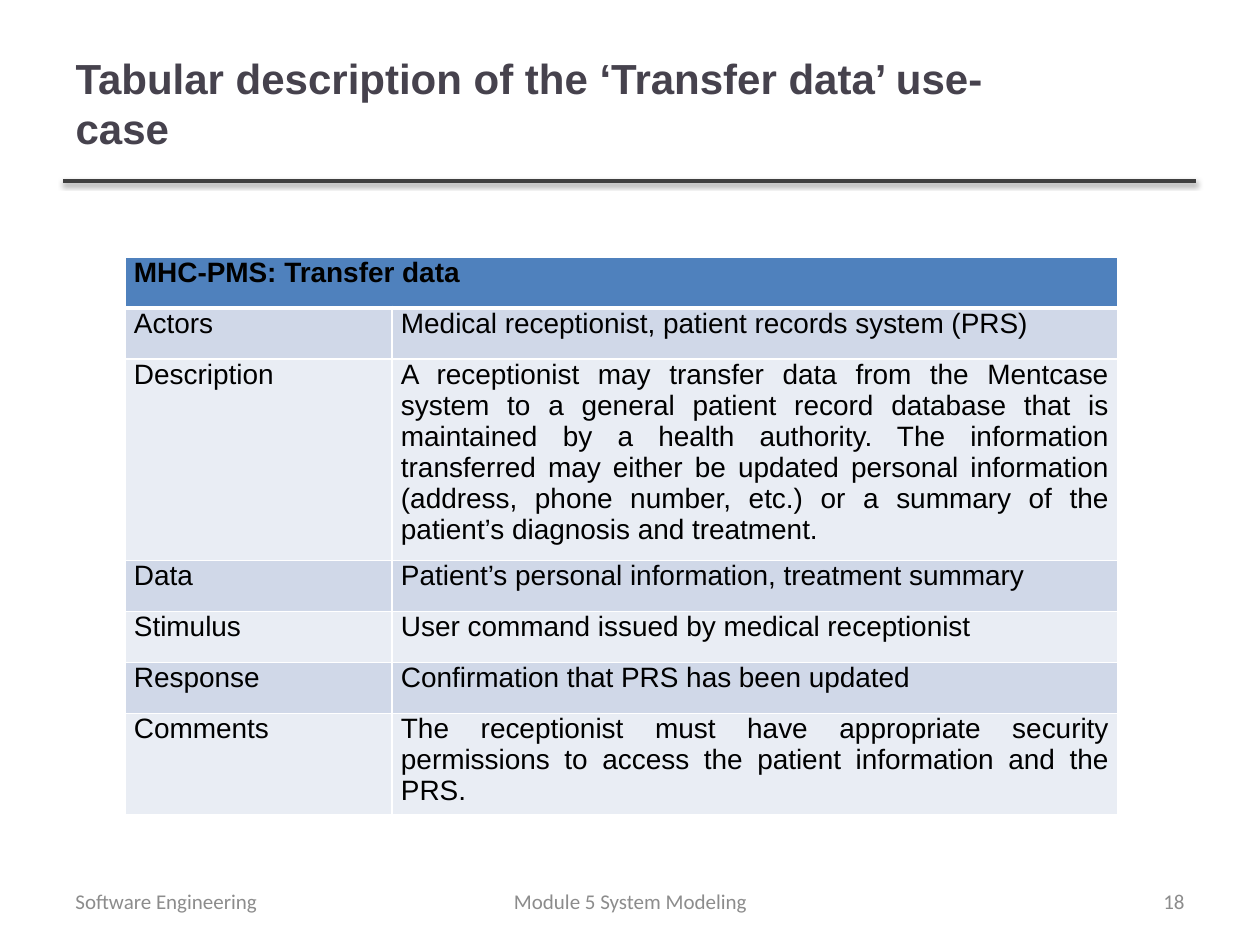
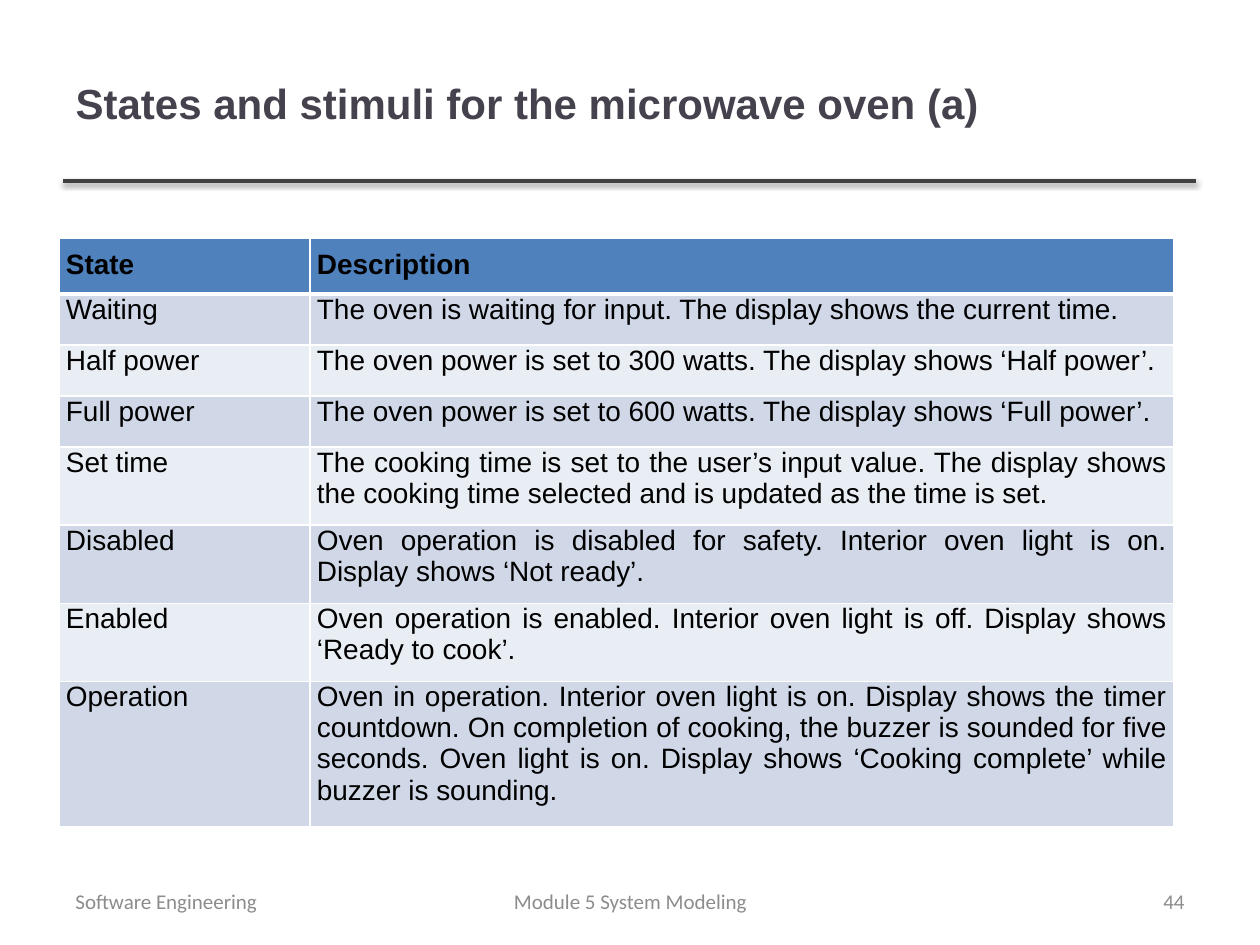
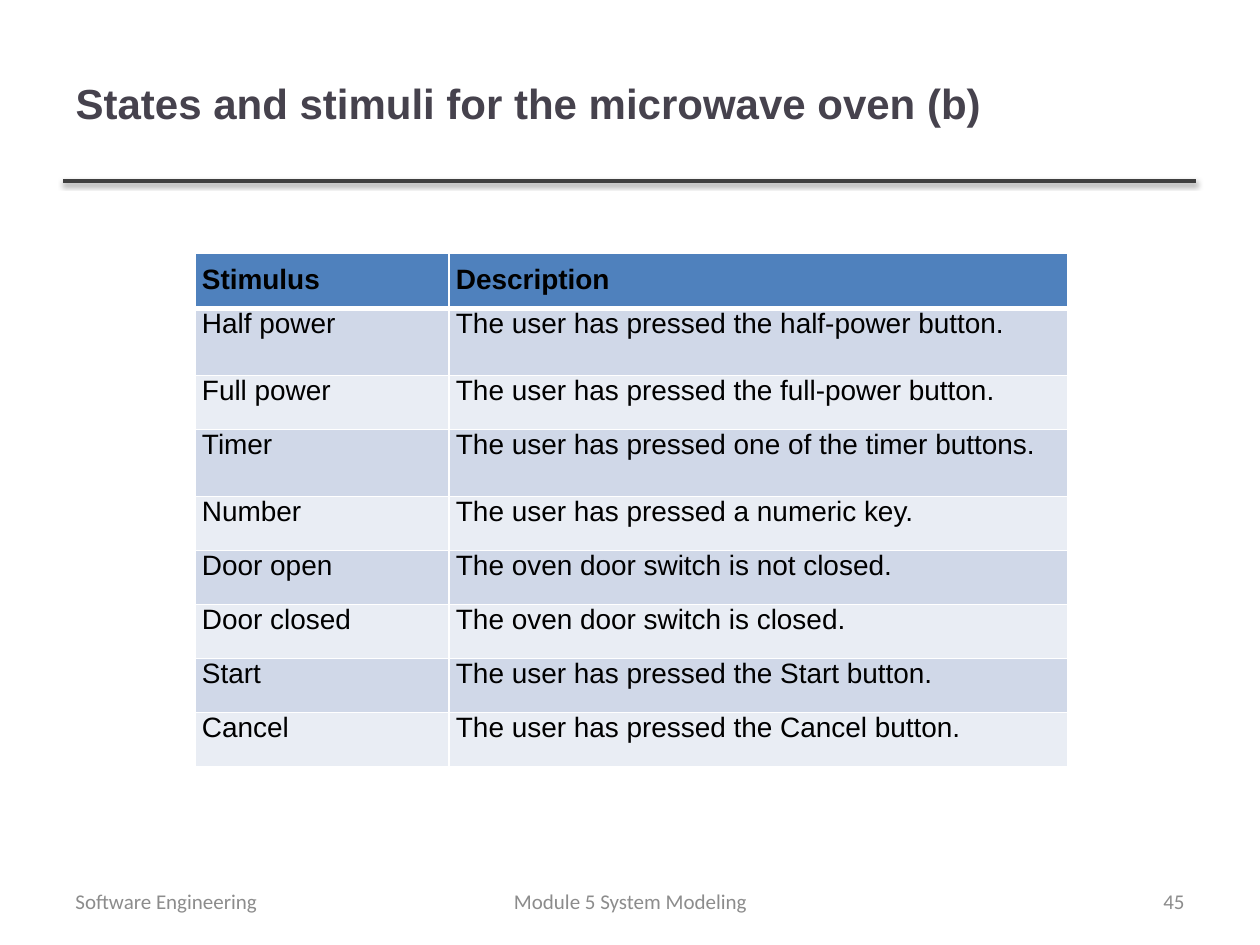
from dataclasses import dataclass

from lxml import etree
from pptx import Presentation
from pptx import util as u
from pptx.dml import color as c
from pptx.enum import shapes, text
from pptx.oxml import ns

PX = u.Inches(1) / 126
LEFT, CENTER, RIGHT, JUSTIFY = (
    text.PP_ALIGN.LEFT, text.PP_ALIGN.CENTER, text.PP_ALIGN.RIGHT, text.PP_ALIGN.JUSTIFY)


@dataclass(frozen=True)
class Theme:
    title: str = "46424D"
    rule: str = "404040"
    shadow: str = "000000"
    footer: str = "8C8C8C"
    ink: str = "000000"
    header: str = "4F81BD"
    bands: tuple = ("D0D8E8", "E9EDF4")
    border: str = "FFFFFF"
    heading_font: str = "Arial"
    footer_font: str = "Calibri"
    title_size: int = 24
    table_size: int = 16
    footer_size: int = 12


THEME = Theme()

TRANSFER_ROWS = [
    ("MHC-PMS: Transfer data",),
    ("Actors", "Medical receptionist, patient records system (PRS)"),
    ("Description",
     "A receptionist may transfer data from the Mentcase system to a general patient "
     "record database that is maintained by a health authority. The information "
     "transferred may either be updated personal information (address, phone number, "
     "etc.) or a summary of the patient’s diagnosis and treatment."),
    ("Data", "Patient’s personal information, treatment summary"),
    ("Stimulus", "User command issued by medical receptionist"),
    ("Response", "Confirmation that PRS has been updated"),
    ("Comments",
     "The receptionist must have appropriate security permissions to access the "
     "patient information and the PRS."),
]

STATE_ROWS = [
    ("State", "Description"),
    ("Waiting", "The oven is waiting for input. The display shows the current time."),
    ("Half power", "The oven power is set to 300 watts. The display shows ‘Half power’."),
    ("Full power", "The oven power is set to 600 watts. The display shows ‘Full power’."),
    ("Set time",
     "The cooking time is set to the user’s input value. The display shows the cooking "
     "time selected and is updated as the time is set."),
    ("Disabled",
     "Oven operation is disabled for safety. Interior oven light is on. Display shows "
     "‘Not ready’."),
    ("Enabled",
     "Oven operation is enabled. Interior oven light is off. Display shows ‘Ready to "
     "cook’."),
    ("Operation",
     "Oven in operation. Interior oven light is on. Display shows the timer countdown. "
     "On completion of cooking, the buzzer is sounded for five seconds. Oven light is "
     "on. Display shows ‘Cooking complete’ while buzzer is sounding."),
]

STIMULUS_ROWS = [
    ("Stimulus", "Description"),
    ("Half power", "The user has pressed the half-power button."),
    ("Full power", "The user has pressed the full-power button."),
    ("Timer", "The user has pressed one of the timer buttons."),
    ("Number", "The user has pressed a numeric key."),
    ("Door open", "The oven door switch is not closed."),
    ("Door closed", "The oven door switch is closed."),
    ("Start", "The user has pressed the Start button."),
    ("Cancel", "The user has pressed the Cancel button."),
]


def px(n):
    return u.Emu(round(n * PX))


def rgb(value):
    return c.RGBColor.from_string(value)


def style(p, font, size, color, bold=False, align=LEFT):
    p.alignment = align
    p.font.name = font
    p.font.size = u.Pt(size)
    p.font.color.rgb = rgb(color)
    p.font.bold = bold


def add_title(s, title):
    sp = s.shapes.title
    sp.left, sp.top, sp.width, sp.height = map(px, (63, 24, 1005, 158))
    tf = sp.text_frame
    tf.text = title
    tf.vertical_anchor = text.MSO_ANCHOR.MIDDLE
    style(tf.paragraphs[0], THEME.heading_font, THEME.title_size, THEME.title, bold=True)


def add_rule(s):
    line = s.shapes.add_connector(
        shapes.MSO_CONNECTOR.STRAIGHT, px(63), px(181), px(1196), px(181))
    line.line.color.rgb = rgb(THEME.rule)
    line.line.width = u.Pt(2)
    effects = etree.SubElement(line._element.spPr, ns.qn("a:effectLst"))
    shadow = etree.SubElement(effects, ns.qn("a:outerShdw"), blurRad="40000",
                              dist="20000", dir="5400000", rotWithShape="0")
    color = etree.SubElement(shadow, ns.qn("a:srgbClr"), val=THEME.shadow)
    etree.SubElement(color, ns.qn("a:alpha"), val="38000")


def add_footer(s, left, width, label, align):
    tf = s.shapes.add_textbox(px(left), px(876), px(width), px(50)).text_frame
    tf.word_wrap = True
    tf.vertical_anchor = text.MSO_ANCHOR.MIDDLE
    tf.text = label
    style(tf.paragraphs[0], THEME.footer_font, THEME.footer_size, THEME.footer, align=align)


def set_borders(cell, top, bottom):
    tc_pr = cell._tc.get_or_add_tcPr()
    for i, (side, width) in enumerate(zip("LRTB", (1, 1, top, bottom))):
        ln = etree.Element(ns.qn(f"a:ln{side}"), w=str(u.Pt(width)))
        fill = etree.SubElement(ln, ns.qn("a:solidFill"))
        etree.SubElement(fill, ns.qn("a:srgbClr"), val=THEME.border)
        tc_pr.insert(i, ln)


def format_cell(cell, row, side_inset, top_inset, bottom_inset):
    cell.margin_left = cell.margin_right = px(side_inset)
    cell.margin_top, cell.margin_bottom = px(top_inset), px(bottom_inset)
    cell.fill.solid()
    cell.fill.fore_color.rgb = rgb(THEME.bands[(row - 1) % 2] if row else THEME.header)
    set_borders(cell, 3 if row == 1 else 1, 1 if row else 3)
    style(cell.text_frame.paragraphs[0], THEME.heading_font, THEME.table_size,
          THEME.ink, bold=row == 0, align=JUSTIFY)


def add_description_table(s, rows, left, top, widths, heights, side_inset, pad):
    table = s.shapes.add_table(len(rows), len(widths), px(left), px(top),
                               px(sum(widths)), px(sum(heights))).table
    for column, width in zip(table.columns, widths):
        column.width = px(width)
    for i, (values, height) in enumerate(zip(rows, heights)):
        table.rows[i].height = px(height)
        for j, value in enumerate(values):
            table.cell(i, j).text = value
        for j in range(len(widths)):
            format_cell(table.cell(i, j), i, side_inset, 0 if i else pad, pad)
        if len(values) < len(widths):
            table.cell(i, 0).merge(table.cell(i, len(widths) - 1))


def add_slide(prs, title, number):
    s = prs.slides.add_slide(prs.slide_layouts[5])
    add_rule(s)
    add_title(s, title)
    add_footer(s, 63, 294, "Software Engineering", LEFT)
    add_footer(s, 431, 399, "Module 5 System Modeling", CENTER)
    add_footer(s, 903, 294, str(number), RIGHT)
    return s


def main():
    prs = Presentation()
    prs.slide_width, prs.slide_height = px(1260), px(945)

    s = add_slide(prs, "Tabular description of the ‘Transfer data’ use-case", 18)
    add_description_table(s, TRANSFER_ROWS, 125, 257, (267, 726),
                          (51, 51, 187, 51, 51, 51, 93), side_inset=9, pad=0)

    s = add_slide(prs, "States and stimuli for the microwave oven (a)", 44)
    add_description_table(s, STATE_ROWS, 59, 238, (251, 864),
                          (56, 51, 51, 51, 75, 75, 75, 137), side_inset=7, pad=11)

    s = add_slide(prs, "States and stimuli for the microwave oven (b)", 45)
    add_description_table(s, STIMULUS_ROWS, 195, 253, (254, 619),
                          (54, 67, 54, 67, 54, 54, 54, 54, 54), side_inset=7, pad=11)

    prs.save("out.pptx")


if __name__ == "__main__":
    main()
